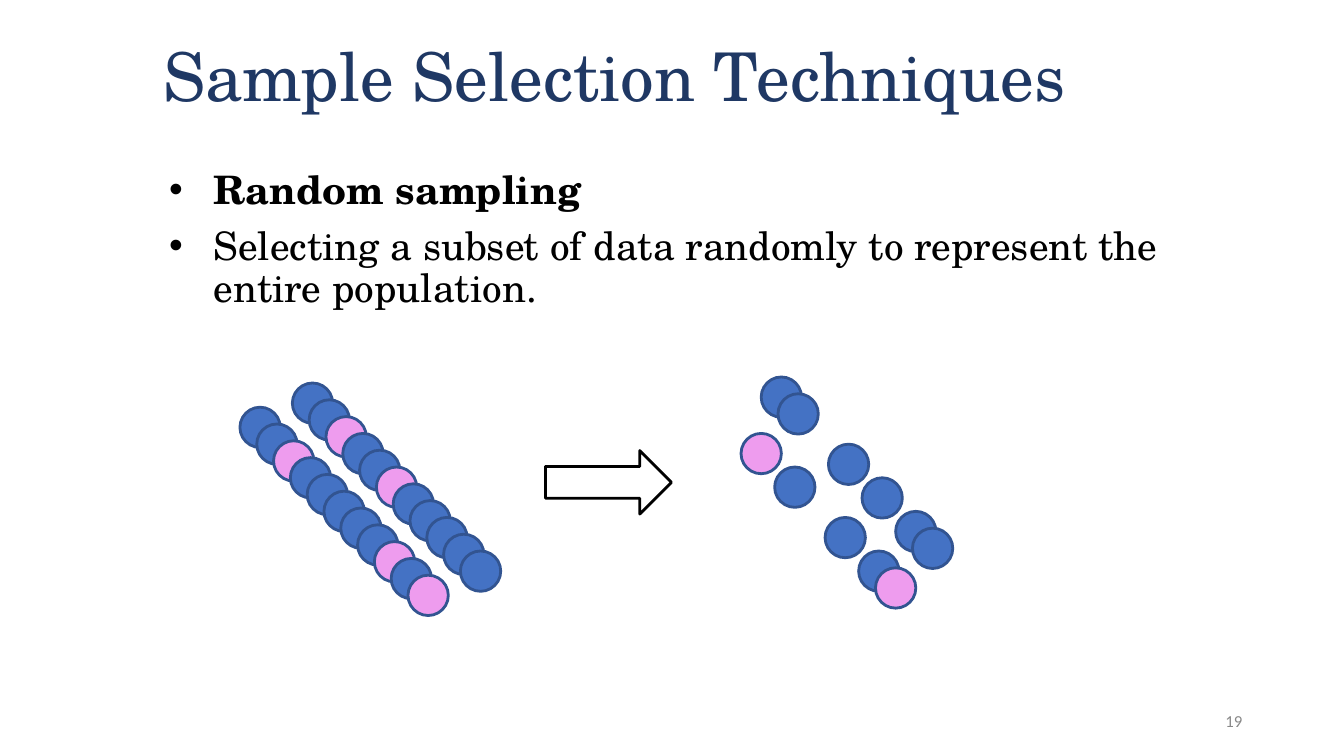
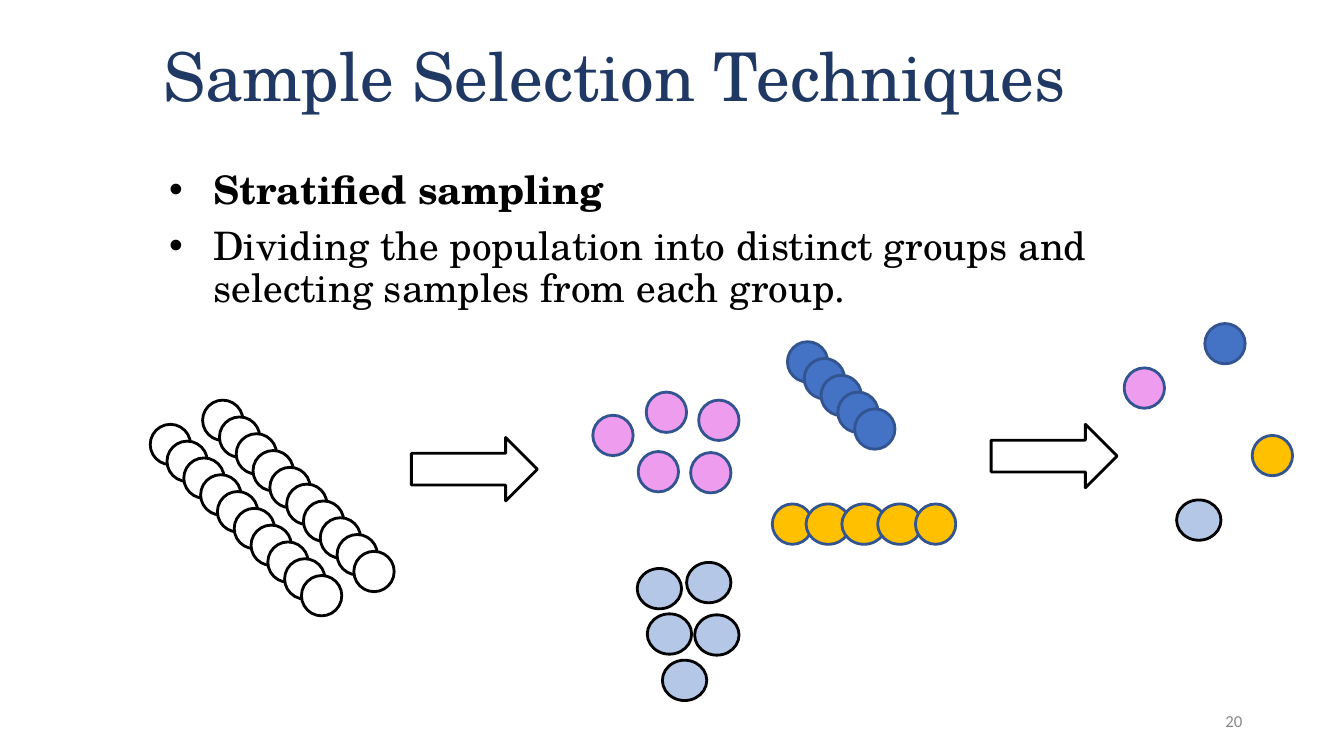
from lxml import etree
from pptx import Presentation
from pptx.dml.color import RGBColor
from pptx.enum.shapes import MSO_SHAPE as Preset
from pptx.enum.text import MSO_ANCHOR as Anchor, PP_ALIGN as Align
from pptx.oxml.ns import qn
from pptx.util import Inches, Pt

NAVY = RGBColor(0x1F, 0x38, 0x64)
BLACK = RGBColor(0, 0, 0)
WHITE = RGBColor(0xFF, 0xFF, 0xFF)
GRAY = RGBColor(0x88, 0x88, 0x88)
BLUE = RGBColor(0x44, 0x72, 0xC4)
DARK_BLUE = RGBColor(0x32, 0x54, 0x91)
PINK = RGBColor(0xEE, 0x9C, 0xEE)
PALE_BLUE = RGBColor(0xB4, 0xC7, 0xE7)
GOLD = RGBColor(0xFF, 0xC0, 0x00)

SERIF, SANS = "TeX Gyre Schola", "Calibri"
DOT, WIDE_DOT, STEP = 0.4, 0.44, 1 / 6


class Deck:
    """Holds the shared style and the slide being built."""

    def __init__(self):
        self.presentation = Presentation()
        self.presentation.slide_width = Inches(13.33)
        self.presentation.slide_height = Inches(7.5)
        self.slide = None

    def new_slide(self, number, technique, description, body_height):
        layout = self.presentation.slide_layouts[6]
        self.slide = self.presentation.slides.add_slide(layout)
        self.title("Sample Selection Techniques")
        self.bullets([technique, description], body_height)
        self.page_number(number)

    def text_frame(self, left, top, width, height, anchor):
        box = self.slide.shapes.add_textbox(
            Inches(left), Inches(top), Inches(width), Inches(height))
        frame = box.text_frame
        frame.word_wrap = True
        frame.vertical_anchor = anchor
        return frame

    def style(self, paragraph, font_name, size, color, bold=False):
        font = paragraph.font
        font.name, font.size, font.bold = font_name, Pt(size), bold
        font.color.rgb = color

    def title(self, text):
        paragraph = self.text_frame(1.52, 0.07, 10.17, 1.45, Anchor.MIDDLE).paragraphs[0]
        paragraph.text = text
        paragraph.line_spacing = 0.9
        self.style(paragraph, SERIF, 48, NAVY)

    def bullets(self, lines, height):
        frame = self.text_frame(1.52, 1.64, 10.17, height, Anchor.TOP)
        for index, line in enumerate(lines):
            paragraph = frame.add_paragraph() if index else frame.paragraphs[0]
            paragraph.text = line
            paragraph.line_spacing = 0.9
            paragraph.space_before = Pt(10 if index else 0)
            properties = paragraph._p.get_or_add_pPr()
            properties.set("marL", str(Inches(0.5)))
            properties.set("indent", str(Inches(-0.44)))
            etree.SubElement(properties, qn("a:buFont"), typeface="Arial")
            etree.SubElement(properties, qn("a:buChar"), char="•")
            self.style(paragraph, SERIF, 28, BLACK, bold=index == 0)

    def page_number(self, number):
        paragraph = self.text_frame(9.42, 6.95, 3, 0.4, Anchor.MIDDLE).paragraphs[0]
        paragraph.text = str(number)
        paragraph.alignment = Align.RIGHT
        self.style(paragraph, SANS, 12, GRAY)

    def outlined(self, preset, left, top, width, height, line):
        shape = self.slide.shapes.add_shape(
            preset, Inches(left), Inches(top), Inches(width), Inches(height))
        shape.shadow.inherit = False
        shape.line.color.rgb = line
        shape.line.width = Pt(2)
        return shape

    def dot(self, left, top, fill, line=DARK_BLUE, width=DOT):
        shape = self.outlined(Preset.OVAL, left, top, width, DOT, line)
        shape.fill.solid()
        shape.fill.fore_color.rgb = fill

    def diagonal(self, left, top, places, fill=BLUE, line=DARK_BLUE, pink=()):
        for place in places:
            color = PINK if place in pink else fill
            self.dot(left + place * STEP, top + place * STEP, color, line)

    def arrow(self, left, top):
        shape = self.outlined(Preset.RIGHT_ARROW, left, top, 1.25, 0.63, BLACK)
        shape.fill.background()


def random_sampling(deck):
    deck.new_slide(
        19, "Random sampling",
        "Selecting a subset of data randomly to represent the entire population.", 5.12)
    deck.diagonal(2.9, 3.8, range(11), pink=(2, 5))
    deck.diagonal(2.38, 4.04, range(11), pink=(2, 8, 10))
    deck.diagonal(7.55, 3.74, (0, 1, 4, 6, 8, 9))
    deck.diagonal(7.35, 4.3, (0, 2, 5, 7, 8), pink=(0, 8))
    deck.arrow(5.41, 4.47)


def stratified_sampling(deck):
    deck.new_slide(
        20, "Stratified sampling",
        "Dividing the population into distinct groups and selecting samples from each group.",
        1.65)
    for left, top in ((2.01, 3.97), (1.49, 4.21)):
        deck.diagonal(left, top, range(10), WHITE, BLACK)
    deck.arrow(4.08, 4.34)

    pink_group = ((6.41, 3.89), (6.93, 3.97), (5.88, 4.12), (6.33, 4.48), (6.85, 4.49))
    for left, top in pink_group:
        deck.dot(left, top, PINK)
    deck.diagonal(7.81, 3.39, range(5))
    pale_group = ((6.57, 6.55), (6.89, 6.1), (6.42, 6.09), (6.81, 5.58), (6.32, 5.64))
    for left, top in pale_group:
        deck.dot(left, top, PALE_BLUE, BLACK, WIDE_DOT)
    for place in range(5):
        width = DOT if place in (0, 4) else WIDE_DOT
        deck.dot(7.86 + place * 0.355 - width / 2, 5, GOLD, width=width)

    deck.arrow(9.83, 4.21)
    deck.dot(11.15, 3.65, PINK)
    deck.dot(11.67, 4.96, PALE_BLUE, BLACK, WIDE_DOT)
    deck.dot(11.95, 3.21, BLUE)
    deck.dot(12.42, 4.32, GOLD)


def main():
    deck = Deck()
    random_sampling(deck)
    stratified_sampling(deck)
    deck.presentation.save("out.pptx")


if __name__ == "__main__":
    main()
